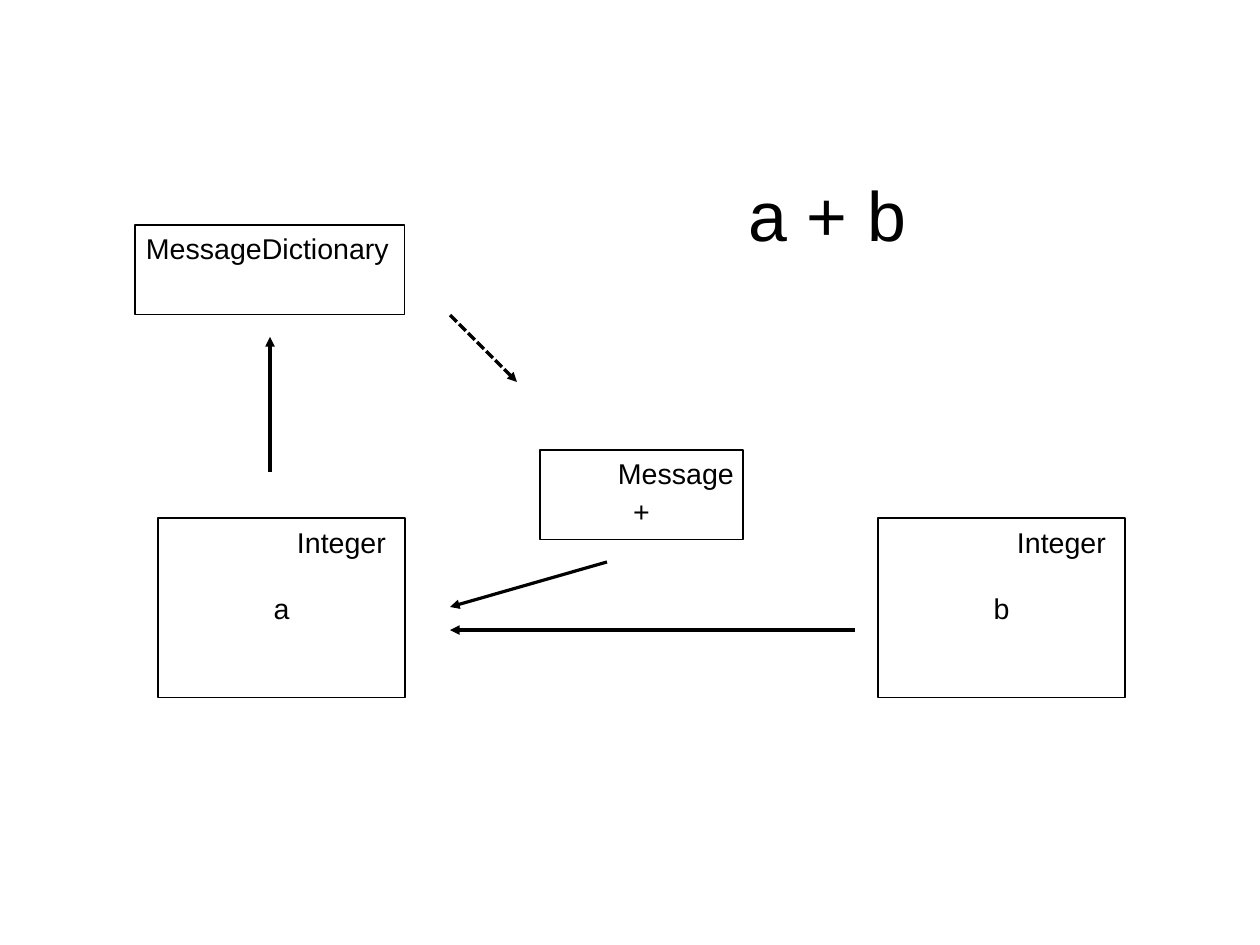
from lxml import etree
from pptx import Presentation
from pptx import util as u
from pptx.dml.color import RGBColor
from pptx.enum import dml, shapes, text
from pptx.oxml.ns import qn

EMU_PER_PX = 8000
SLIDE_SIZE = (1260, 945)
FONT = "Arial"
BLACK = "000000"

TITLE = ("a + b", (58, 135, 1134, 158))
TITLE_INDENT = 405

# text, frame, top inset
BOXES = [
    ("a", (158, 518, 247, 180), 6),
    ("b", (878, 518, 247, 180), 6),
    ("+", (540, 450, 203, 90), 39),
    ("", (135, 225, 270, 90), 6),
]
LABELS = [
    ("Integer", (286, 519, 119, 43)),
    ("Integer", (1006, 519, 119, 43)),
    ("Message", (607, 450, 158, 43)),
    ("MessageDictionary", (135, 225, 315, 67)),
]
# start, end, dashed
ARROWS = [
    ((607, 562), (450, 607), False),
    ((270, 472), (270, 337), False),
    ((450, 315), (517, 382), True),
    ((855, 630), (450, 630), False),
]


def px(*lengths):
    return [u.Emu(length * EMU_PER_PX) for length in lengths]


def color(hex_string):
    return RGBColor.from_string(hex_string)


def write(shape, words, size, alignment, anchor, insets):
    """Fill a shape with one paragraph; insets are left, top, right, bottom."""
    frame = shape.text_frame
    frame.word_wrap = True
    frame.vertical_anchor = anchor
    (frame.margin_left, frame.margin_top,
     frame.margin_right, frame.margin_bottom) = px(*insets)
    frame.text = words
    paragraph = frame.paragraphs[0]
    paragraph.alignment = alignment
    paragraph.font.name = FONT
    paragraph.font.size = u.Pt(size)
    paragraph.font.color.rgb = color(BLACK)


def set_hairline(line):
    line.color.rgb = color(BLACK)
    line.width = 0


def add_title(slide):
    words, frame = TITLE
    title = slide.shapes.title
    title.left, title.top, title.width, title.height = px(*frame)
    write(title, words, 44, text.PP_ALIGN.CENTER, text.MSO_ANCHOR.MIDDLE,
          (TITLE_INDENT, 0, 0, 0))


def add_box(slide, words, frame, top_inset):
    box = slide.shapes.add_shape(shapes.MSO_SHAPE.RECTANGLE, *px(*frame))
    box.shadow.inherit = False
    box.fill.background()
    set_hairline(box.line)
    if words:
        write(box, words, 18, text.PP_ALIGN.CENTER, text.MSO_ANCHOR.MIDDLE,
              (11, top_inset, 11, 6))


def add_label(slide, words, frame):
    label = slide.shapes.add_textbox(*px(*frame))
    write(label, words, 18, text.PP_ALIGN.LEFT, text.MSO_ANCHOR.TOP,
          (11, 6, 11, 6))


def add_arrow(slide, start, end, dashed):
    arrow = slide.shapes.add_connector(
        shapes.MSO_CONNECTOR.STRAIGHT, *px(*start, *end))
    set_hairline(arrow.line)
    if dashed:
        arrow.line.dash_style = dml.MSO_LINE.SQUARE_DOT
    properties = arrow._element.spPr
    etree.SubElement(properties.find(qn("a:ln")), qn("a:tailEnd"), type="triangle")
    etree.SubElement(properties, qn("a:effectLst"))


def main():
    presentation = Presentation()
    presentation.slide_width, presentation.slide_height = px(*SLIDE_SIZE)
    slide = presentation.slides.add_slide(presentation.slide_layouts[5])
    add_title(slide)
    for box in BOXES:
        add_box(slide, *box)
    for label in LABELS:
        add_label(slide, *label)
    for arrow in ARROWS:
        add_arrow(slide, *arrow)
    presentation.save("out.pptx")


if __name__ == "__main__":
    main()
